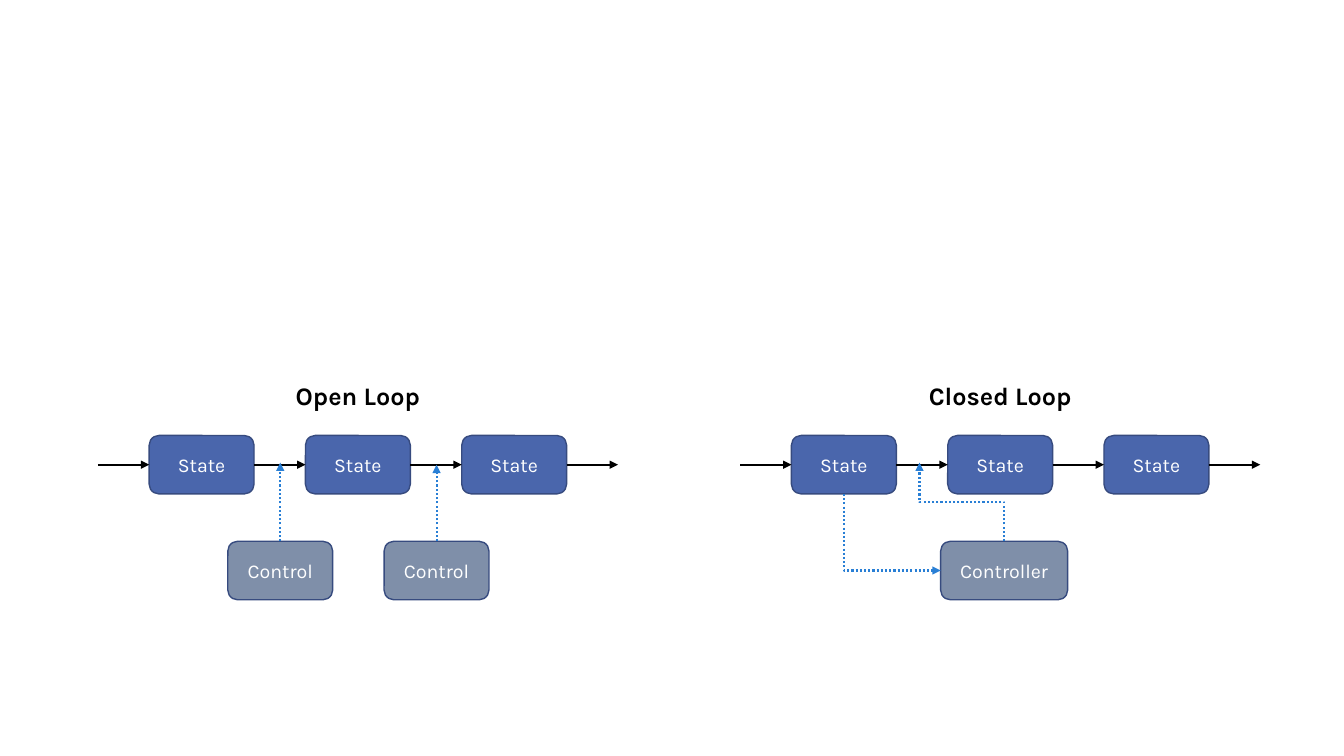
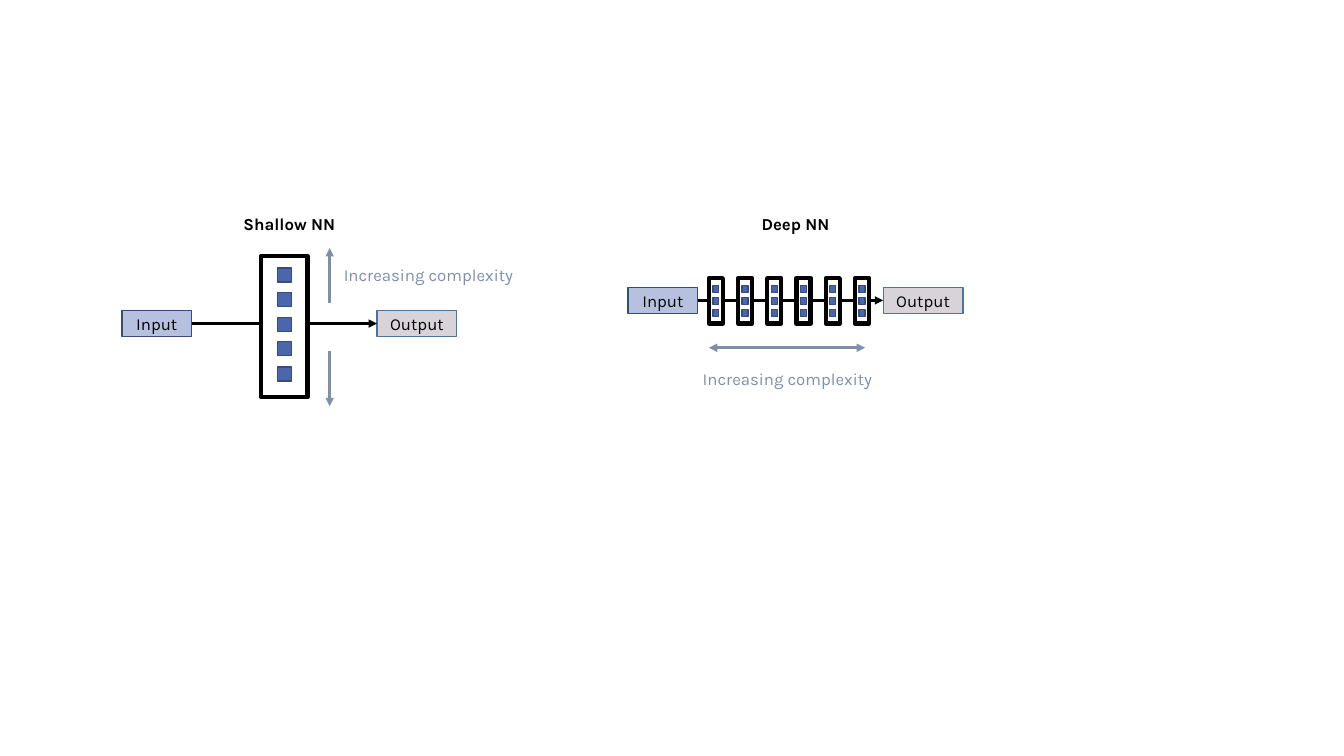
from pptx import Presentation
from pptx.dml.color import RGBColor
from pptx.enum.dml import MSO_LINE
from pptx.enum.shapes import MSO_CONNECTOR, MSO_SHAPE
from pptx.enum.text import MSO_ANCHOR, PP_ALIGN
from pptx.oxml.ns import qn
from pptx.util import Pt
from lxml import etree

PX = 9144  # EMU in one px, 100 px to the inch
WIDTH, HEIGHT = 1333, 750

BLACK = RGBColor(0x00, 0x00, 0x00)
WHITE = RGBColor(0xFF, 0xFF, 0xFF)
BLUE = RGBColor(0x4A, 0x66, 0xAC)
NAVY = RGBColor(0x37, 0x4B, 0x7F)
SLATE = RGBColor(0x7F, 0x8F, 0xA9)
SKY = RGBColor(0x29, 0x7F, 0xD5)
PALE_BLUE = RGBColor(0xB5, 0xC1, 0xDF)
PALE_GREY = RGBColor(0xD8, 0xD3, 0xD9)
STEEL = RGBColor(0x49, 0x74, 0x9B)

TOP, LEFT, BOTTOM, RIGHT = range(4)  # connection sites of a rectangle


class Sketch:
    """Holds the style and the current slide."""

    font = "Karla"

    def __init__(self):
        self.deck = Presentation()
        self.deck.slide_width = WIDTH * PX
        self.deck.slide_height = HEIGHT * PX
        self.page = None

    def new_page(self):
        self.page = self.deck.slides.add_slide(self.deck.slide_layouts[6])

    def put_text(self, frame, text, size, color, bold=False):
        para = frame.paragraphs[0]
        para.alignment = PP_ALIGN.CENTER
        span = para.add_run()
        span.text = text
        span.font.color.rgb = color
        formats = {"name": self.font, "size": Pt(size), "bold": bold}
        for key, value in formats.items():
            setattr(span.font, key, value)

    def label(self, text, left, top, width, height, size, color=BLACK, bold=False):
        box = self.page.shapes.add_textbox(
            left * PX, top * PX, width * PX, height * PX)
        box.text_frame.word_wrap = True
        self.put_text(box.text_frame, text, size, color, bold)

    def block(self, left, top, width, height, fill, line, weight=1,
              kind=MSO_SHAPE.RECTANGLE, text="", size=12, color=BLACK):
        box = self.page.shapes.add_shape(
            kind, left * PX, top * PX, width * PX, height * PX)
        box.shadow.inherit = False
        box.fill.solid()
        box.fill.fore_color.rgb = fill
        box.line.color.rgb = line
        box.line.width = Pt(weight)
        if text:
            formats = {"margin_left": 0, "margin_right": 0, "margin_top": 0,
                       "margin_bottom": 0, "vertical_anchor": MSO_ANCHOR.MIDDLE}
            for key, value in formats.items():
                setattr(box.text_frame, key, value)
            self.put_text(box.text_frame, text, size, color)
        return box

    def node(self, text, left, top, fill, width=104):
        return self.block(left, top, width, 58, fill, NAVY, text=text, size=14,
                          color=WHITE, kind=MSO_SHAPE.ROUNDED_RECTANGLE)

    def arrow(self, start, end, color=BLACK, weight=1.5, dotted=False,
              both=False, source=None, target=None, kind=MSO_CONNECTOR.STRAIGHT):
        """Draw from start to end; source and target are (box, site) joins."""
        line = self.page.shapes.add_connector(
            kind, *(round(value * PX) for value in (*start, *end)))
        line.line.color.rgb = color
        line.line.width = Pt(weight)
        if dotted:
            line.line.dash_style = MSO_LINE.ROUND_DOT
        # Arrowheads follow the dash; the empty effect list removes the shadow
        stroke = line.get_or_add_ln()
        for end_tag in (["a:headEnd"] if both else []) + ["a:tailEnd"]:
            etree.SubElement(stroke, qn(end_tag), type="triangle")
        etree.SubElement(line.element.spPr, qn("a:effectLst"))
        if source:
            line.begin_connect(*source)
        if target:
            line.end_connect(*target)
        return line

    def upright_elbow(self, start, end, preset):
        """Draw a dotted elbow whose first leg is vertical."""
        (x1, y1), (x2, y2) = start, end
        mid_x, mid_y = (x1 + x2) / 2, (y1 + y2) / 2
        half_x, half_y = x1 - mid_x, y1 - mid_y
        # Turn the ends a quarter clockwise; the rotation turns them back
        line = self.arrow((mid_x - half_y, mid_y + half_x),
                          (mid_x + half_y, mid_y - half_x),
                          SKY, dotted=True, kind=MSO_CONNECTOR.ELBOW)
        properties = line.element.spPr
        properties.find(qn("a:xfrm")).set("rot", str(270 * 60000))
        properties.find(qn("a:prstGeom")).set("prst", preset)

    def state_chain(self, title, left):
        """Draw three states joined by arrows, with a title above."""
        top, middle, width, pitch = 432, 461, 104, 155
        gap = pitch - width
        states = [self.node("State", left + pitch * step, top, BLUE)
                  for step in range(3)]
        for step, (before, after) in enumerate(
                zip([None, *states], [*states, None])):
            tip = left + pitch * step
            self.arrow((tip - gap, middle), (tip, middle),
                       source=before and (before, RIGHT),
                       target=after and (after, LEFT))
        self.label(title, left + 44, 372, 326, 40, 18, bold=True)

    def layer(self, left, top, width, height, unit, first, last, count):
        """Draw a layer with a column of evenly spaced units."""
        self.block(left, top, width, height, WHITE, BLACK, 3)
        unit_width, unit_height = unit
        for step in range(count):
            offset = first + (last - first) * step // (count - 1)
            self.block(left + (width - unit_width) // 2, top + offset,
                       unit_width, unit_height, BLUE, NAVY)

    def network(self, title, left, top):
        """Draw the title, input, output and the line between them."""
        middle = top + 13
        self.label(title, left + 44, 207, 244, 30, 12, bold=True)
        source = self.block(left, top, 69, 26, PALE_BLUE, NAVY, text="Input")
        target = self.block(left + 253, top, 79, 26, PALE_GREY, STEEL,
                            text="Output")
        self.arrow((left + 69, middle), (left + 253, middle), weight=2,
                   source=(source, RIGHT), target=(target, LEFT))

    def complexity(self, left, top):
        self.label("Increasing complexity", left, top, 244, 30, 12, SLATE)


def draw_loops(sketch):
    sketch.new_page()
    # Open loop: a control acts on each gap between states
    sketch.state_chain("Open Loop", 148)
    for left, tip in ((226, 459), (381, 461)):
        control = sketch.node("Control", left, 537, SLATE)
        sketch.arrow((left + 52, 537), (left + 52, tip), SKY, dotted=True,
                     source=(control, TOP))
    # Closed loop: the controller reads a state and acts on the next gap
    sketch.state_chain("Closed Loop", 785)
    sketch.node("Controller", 933, 537, SLATE, width=126)
    sketch.upright_elbow((837, 490), (933, 566), "bentConnector2")
    sketch.upright_elbow((996, 537), (912, 459), "bentConnector3")


def draw_networks(sketch):
    sketch.new_page()
    # Shallow network: one tall layer
    sketch.network("Shallow NN", 121, 308)
    sketch.layer(259, 254, 46, 140, (14, 14), 12, 110, 5)
    for start, end in ((301, 246), (348, 403)):
        sketch.arrow((327, start), (327, end), SLATE, 2)
    sketch.complexity(303, 258)
    # Deep network: six small layers
    sketch.network("Deep NN", 623, 285)
    for step in range(6):
        sketch.layer(703 + 29 * step, 276, 14, 45, (6, 7), 7, 31, 3)
    sketch.arrow((703, 345), (858, 345), SLATE, 2, both=True)
    sketch.complexity(659, 361)


def main():
    sketch = Sketch()
    draw_loops(sketch)
    draw_networks(sketch)
    sketch.deck.save("out.pptx")


if __name__ == "__main__":
    main()
